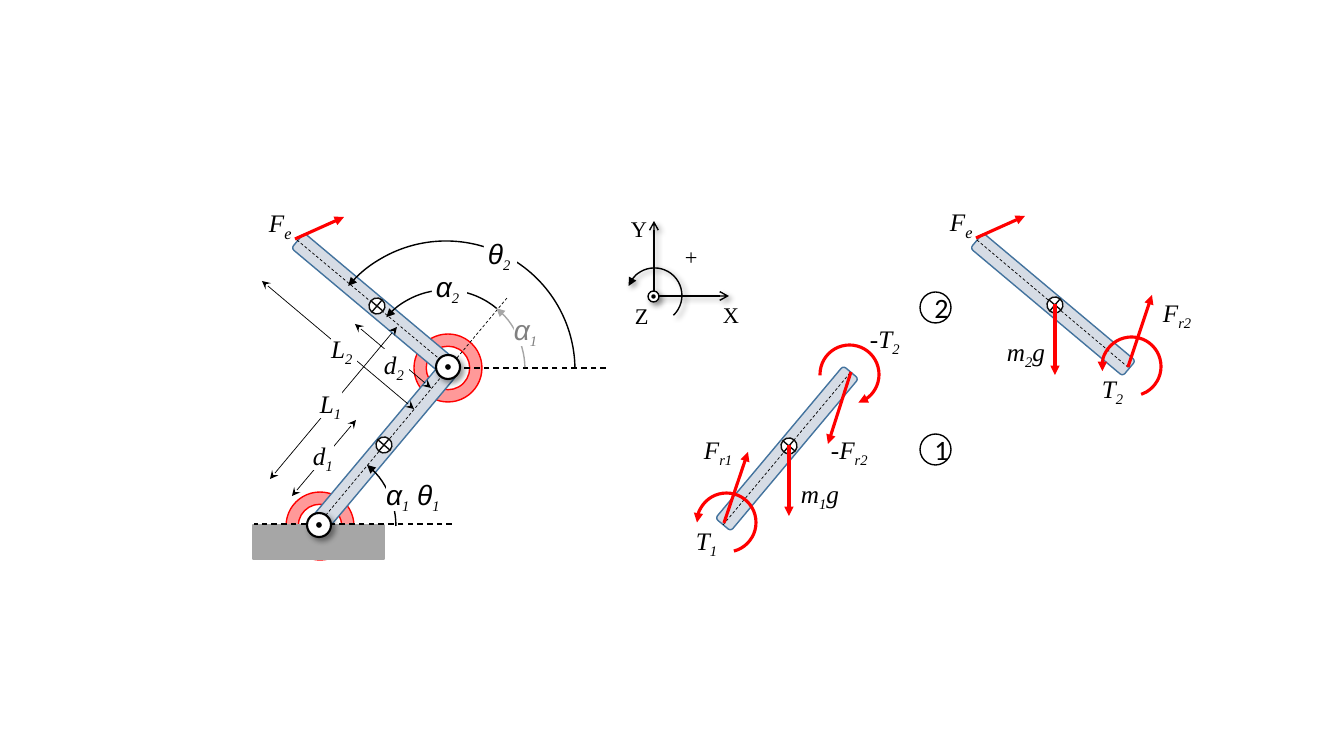
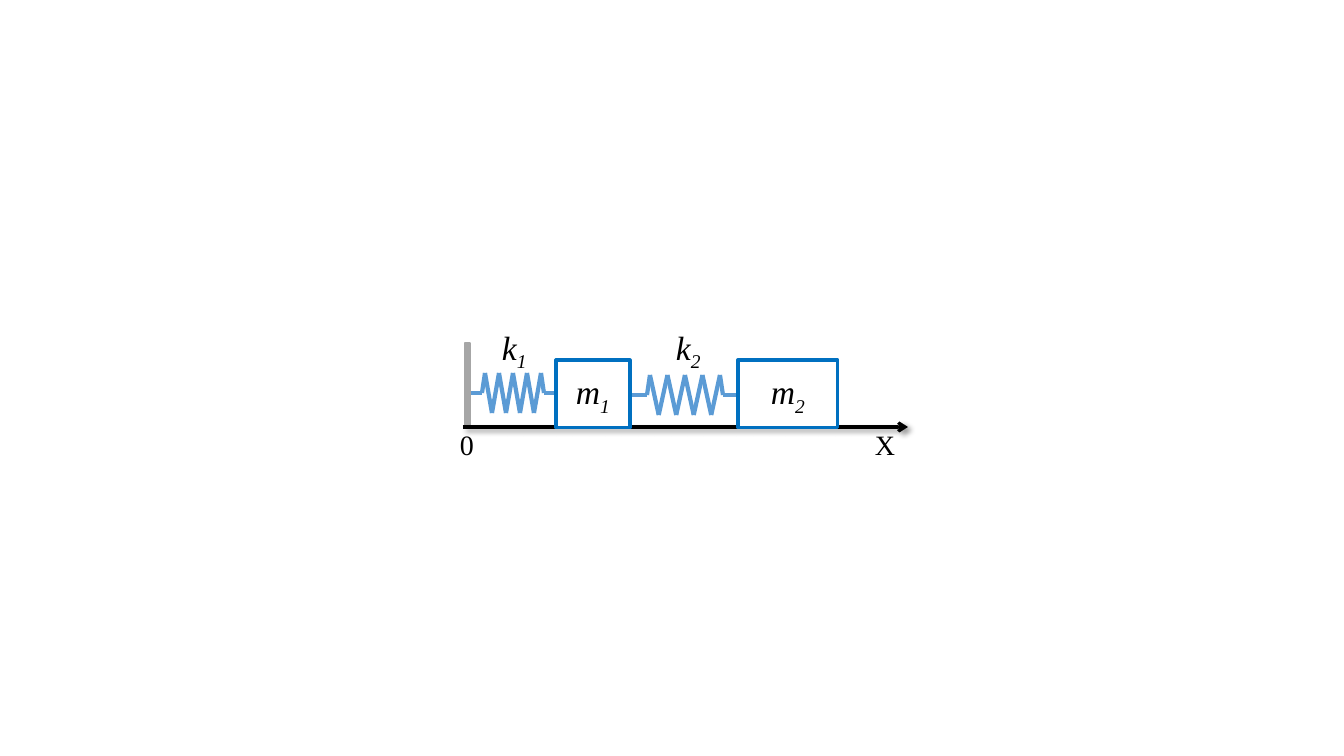
from dataclasses import dataclass
from itertools import pairwise
from typing import Any

from pptx import Presentation
from pptx.dml.color import RGBColor
from pptx.enum.dml import MSO_LINE
from pptx.enum.shapes import MSO_CONNECTOR, MSO_SHAPE
from pptx.enum.text import MSO_AUTO_SIZE
from pptx.oxml import parse_xml
from pptx.oxml.ns import nsdecls, qn
from pptx.util import Pt

UNIT = 914400 / 100.8
STRAIGHT = MSO_CONNECTOR.STRAIGHT
DASH = MSO_LINE.DASH
ARC, DONUT = MSO_SHAPE.ARC, MSO_SHAPE.DONUT
OVAL, RECT = MSO_SHAPE.OVAL, MSO_SHAPE.RECTANGLE
ROUND, CROSS = MSO_SHAPE.ROUNDED_RECTANGLE, MSO_SHAPE.FLOWCHART_OR
GROW = MSO_AUTO_SIZE.SHAPE_TO_FIT_TEXT


@dataclass(frozen=True)
class Theme:
    """Colours, line widths and type styles of both slides."""
    black: str = "000000"
    white: str = "FFFFFF"
    red: str = "FF0000"
    gray: str = "A6A6A6"
    dim: str = "808080"
    steel: str = "D6DCE5"
    rim: str = "43739E"
    mark: str = "0D0D0D"
    coil: str = "5B9BD5"
    mass: str = "0070C0"
    hair: float = 0.5
    thin: float = 1
    ring: float = 1.5
    bold: float = 2.25
    wire: float = 3


THEME = Theme()
SERIF = "Times New Roman"
SUB = {"name": SERIF, "size": Pt(18), "italic": True}
MATH = (SUB, SUB)
TIP = (SUB, {**SUB, "size": Pt(20)})
GREEK = ({"name": "Arial", "size": Pt(20), "italic": True}, SUB)
LARGE = ({**SUB, "size": Pt(24)},) * 2
AXIS = ({"name": SERIF, "size": Pt(16)},)
ENDS = ({"name": SERIF, "size": Pt(20)},)
COUNT = ({"name": "Calibri", "size": Pt(20)},)


def px(size):
    """Turn pixels into EMU."""
    return round(size * UNIT)


def put(item, values):
    """Set attributes from a dict."""
    for name, value in values.items():
        setattr(item, name, value)


def paint(item, color, alpha=None):
    """Fill an item with one colour, or with none."""
    if color is None:
        item.fill.background()
        return
    item.fill.solid()
    item.fill.fore_color.rgb = RGBColor.from_string(color)
    if alpha:
        tint = item._element.spPr.find(qn("a:solidFill"))[0]
        tint.append(parse_xml(f'<a:alpha {nsdecls("a")} val="{alpha * 1000}"/>'))


def edge(item, color, width, dash=None, head=None, tail=None, shade=False):
    """Style an outline, its arrowheads and its shadow."""
    item.line.color.rgb = RGBColor.from_string(color)
    put(item.line, {"width": Pt(width), "dash_style": dash})
    frame = item._element.spPr
    for name, kind in (("headEnd", head), ("tailEnd", tail)):
        if kind:
            frame.find(qn("a:ln")).append(
                parse_xml(f'<a:{name} {nsdecls("a")} type="{kind}"/>'))
    drop = ('<a:outerShdw blurRad="50800" dist="38100" dir="2700000">'
            '<a:srgbClr val="000000"><a:alpha val="40000"/></a:srgbClr>'
            '</a:outerShdw>') if shade else ""
    frame.append(parse_xml(f'<a:effectLst {nsdecls("a")}>{drop}</a:effectLst>'))


def write(frame, parts, style, color=THEME.black):
    """Write parts in turn as base text and subscript."""
    for rank, part in enumerate(parts):
        run = frame.paragraphs[0].add_run()
        run.text = part
        put(run.font, style[rank % 2])
        run.font.color.rgb = RGBColor.from_string(color)
        if rank % 2:
            run._r.get_or_add_rPr().set("baseline", "-25000")


@dataclass
class Pad:
    """A drawing area whose parts are placed from its corner."""
    shapes: Any
    left: int
    top: int

    def group(self):
        """Open a group with the same corner."""
        return Pad(self.shapes.add_group_shape().shapes, self.left, self.top)

    def form(self, kind, x, y, wide, high, fill, line, width=THEME.thin,
             alpha=None, turn=0, adj=(), **ends):
        """Add a preset shape."""
        item = self.shapes.add_shape(kind, px(self.left + x), px(self.top + y),
                                     px(wide), px(high))
        item.rotation = turn
        for rank, value in enumerate(adj):
            item.adjustments[rank] = value
        paint(item, fill, alpha)
        edge(item, line, width, **ends)
        return item

    def arc(self, x, y, size, start, stop, color, width=THEME.thin, **ends):
        """Add an arc between two angles in degrees."""
        self.form(ARC, x, y, size, size, None, color, width,
                  adj=(start * 0.6, stop * 0.6), **ends)

    def line(self, x, y, to_x, to_y, color=THEME.black, width=THEME.thin, **ends):
        """Add a straight line."""
        item = self.shapes.add_connector(
            STRAIGHT, px(self.left + x), px(self.top + y),
            px(self.left + to_x), px(self.top + to_y))
        edge(item, color, width, **ends)

    def label(self, parts, x, y, wide, high, style=MATH, color=THEME.black,
              wrap=False, fill=None, pads=None):
        """Add a text box."""
        item = self.shapes.add_textbox(px(self.left + x), px(self.top + y),
                                       px(wide), px(high))
        paint(item, fill)
        frame = item.text_frame
        put(frame, {"word_wrap": wrap, "auto_size": GROW})
        if pads:
            put(frame, {"margin_left": px(pads[0]), "margin_right": px(pads[1]),
                        "margin_top": 0, "margin_bottom": 0})
        write(frame, parts, style, color)

    def bar(self, x, y, turn, *axis):
        """Add a limb with its dashed axis."""
        self.form(ROUND, x, y, 20, 199, THEME.steel, THEME.rim, turn=turn)
        self.line(*axis, width=THEME.hair, dash=DASH)

    def centre(self, x, y):
        """Mark a centre of mass."""
        self.form(CROSS, x, y, 16, 16, THEME.white, THEME.mark, turn=40.4)

    def force(self, *ends):
        """Add a red force arrow."""
        self.line(*ends, color=THEME.red, width=THEME.bold, tail="triangle")

    def pull(self, x, y):
        """Add the outer force and its name."""
        self.force(x + 36, y + 39, x + 85, y + 17)
        self.label(("F", "e"), x, y, 44, 40, TIP)

    def dot(self, x, y, size, inner, width):
        """Add a ringed dot for an axis that leaves the plane."""
        gap = (size - inner) / 2
        self.form(OVAL, x, y, size, size, THEME.white, THEME.black, width, shade=True)
        self.form(OVAL, x + gap, y + gap, inner, inner, THEME.black, THEME.white, width)


def arm(pad):
    """Draw the arm with two joints, its lengths and angles."""
    for x, y in ((164, 134), (36, 292)):
        pad.form(DONUT, x, y, 68, 68, THEME.red, THEME.red, alpha=40, adj=(0.18,))
    pad.form(RECT, 3, 325, 131, 34, THEME.gray, THEME.gray)
    pad.line(356, 168, 197, 168, dash=DASH)
    pad.bar(125, 146, 40, 257, 98, 61, 333)
    pad.bar(114, 5, 310, 47, 40, 199, 167)
    for ends in ((147, 127, 20, 279), (12, 81, 164, 209),
                 (106, 220, 42, 296), (105, 124, 181, 188)):
        pad.line(*ends, width=THEME.hair, head="stealth", tail="stealth")
    for x, y, size, start, stop, color in (
            (-12, 247, 158, 309.4, 0, THEME.black),
            (117, 90, 158, 221, 310.1, THEME.black),
            (117, 90, 158, 309.7, 358.6, THEME.gray),
            (67, 41, 258, 220.7, 359.1, THEME.black)):
        pad.arc(x, y, size, start, stop, color, head="triangle")
    pad.line(202, 324, 4, 324, dash=DASH)
    for x, y in ((57, 313), (186, 155)):
        pad.group().dot(x, y, 24, 8, THEME.ring)
    for spot in ((119, 98), (126, 237)):
        pad.centre(*spot)
    pad.pull(9, 0)
    for parts, x, y, wide, end in (
            (("L", "1"), 70, 188, 22, 0), (("L", "2"), 81, 133, 26, 4),
            (("d", "1"), 63, 240, 21, 0), (("d", "2"), 134, 149, 25, 4)):
        pad.label(parts, x, y, wide, 30, fill=THEME.white, pads=(0, end))
    for parts, x, y, wide, gap, color in (
            (("α", "1"), 264, 112, 28, 0, THEME.dim),
            (("α", "2"), 182, 69, 35, 4, THEME.black),
            (("θ", "2"), 234, 36, 33, 4, THEME.black),
            (("α", "1", " θ", "1"), 136, 277, 68, 0, THEME.black)):
        pad.label(parts, x, y, wide, 34, GREEK, color, True, THEME.white, (gap, gap))


def axes(pad):
    """Draw the axes and the positive turn."""
    pad = pad.group()
    for end in ((107, 86), (32, 11)):
        pad.line(32, 86, *end, tail="arrow", shade=True)
    pad.dot(26, 81, 11, 6, THEME.thin)
    pad.arc(5, 58, 55, 200.1, 46.2, THEME.black, head="triangle", shade=True)
    for sign, x, y in (("Y", -1, 0), ("X", 91, 86), ("Z", 3, 87), ("+", 53, 28)):
        pad.label((sign,), x, y, 36, 37, AXIS, wrap=True)


def body(pad, bar, forces, turns, mass, names):
    """Draw one free body with its forces and torques."""
    pad.bar(*bar)
    for ends in forces:
        pad.force(*ends)
    for x, y, start, stop, end in turns:
        pad.arc(x, y, 59, start, stop, THEME.red, THEME.bold, **{end: "triangle"})
    x, y = mass
    pad.centre(x, y)
    pad.force(x + 8, y + 7, x + 8, y + 78)
    for parts, x, y, wide in names:
        pad.label(parts, x, y, wide, 40)


def badges(pad):
    """Number the two bodies from the bottom up."""
    for rank, sign in enumerate("21"):
        item = pad.form(OVAL, 0, 142 * rank, 31, 31, THEME.white, THEME.black)
        write(item.text_frame, sign, COUNT)


def spring(pad, left, right, first, last, mid):
    """Draw a coil with eight equal strokes between two leads."""
    step = (last - first) / 8
    coil = [(first + step * rank, mid + (20 if rank % 2 else -20)) for rank in range(9)]
    lead = [(left, mid), (first - 3, mid)]
    rest = [(last + 3, mid), (right, mid)]
    for start, stop in pairwise(lead + coil + rest):
        pad.line(*start, *stop, color=THEME.coil, width=THEME.wire)


def chain(pad):
    """Draw two masses on springs along an axis."""
    pad = pad.group()
    pad.form(RECT, 5, 23, 5, 85, THEME.gray, THEME.gray)
    spring(pad, 11, 94, 25, 81, 73)
    spring(pad, 172, 276, 190, 260, 75)
    pad.line(3, 107, 448, 107, width=THEME.bold, tail="arrow", shade=True)
    for sign, x, wide, name in (("1", 96, 74, 32), ("2", 278, 100, 206)):
        item = pad.form(RECT, x, 40, wide, 68, THEME.white, THEME.mass, THEME.bold)
        write(item.text_frame, ("m", sign), LARGE)
        pad.label(("k", sign), name, 2, 46, 50, LARGE)
    for sign, x, wide in (("0", -10, 34), ("X", 405, 41)):
        pad.label((sign,), x, 103, wide, 44, ENDS, wrap=True)


def main():
    """Build both slides."""
    deck = Presentation()
    put(deck, {"slide_width": px(1344), "slide_height": px(756)})
    limbs, coils = [deck.slides.add_slide(deck.slide_layouts[6]).shapes for _ in range(2)]
    arm(Pad(limbs, 250, 200))
    axes(Pad(limbs, 622, 210))
    body(Pad(limbs, 690, 325), (87, 24, 40, 160, 48, 33, 200),
         ((34, 198, 58, 127), (161, 47, 138, 119)),
         ((7, 168, 180, 75.5, "head"), (130, 20, 178.4, 72.4, "tail")), (91, 113),
         ((("T", "1"), -4, 195, 43), (("F", "r1"), 4, 104, 52),
          (("m", "1", "g"), 101, 148, 59), (("-T", "2"), 170, -7, 51),
          (("-F", "r2"), 131, 104, 61)))
    upper = Pad(limbs, 940, 199)
    body(upper, (103, 6, 310, 37, 41, 189, 169), ((188, 168, 212, 96),),
         ((162, 138, 171, 70.9, "head"),), (107, 98),
         ((("m", "2", "g"), 57, 132, 59), (("T", "2"), 152, 169, 43),
          (("F", "r2"), 213, 93, 52)))
    upper.pull(0, 0)
    badges(Pad(limbs, 920, 292))
    chain(Pad(coils, 460, 320))
    deck.save("out.pptx")


main()
